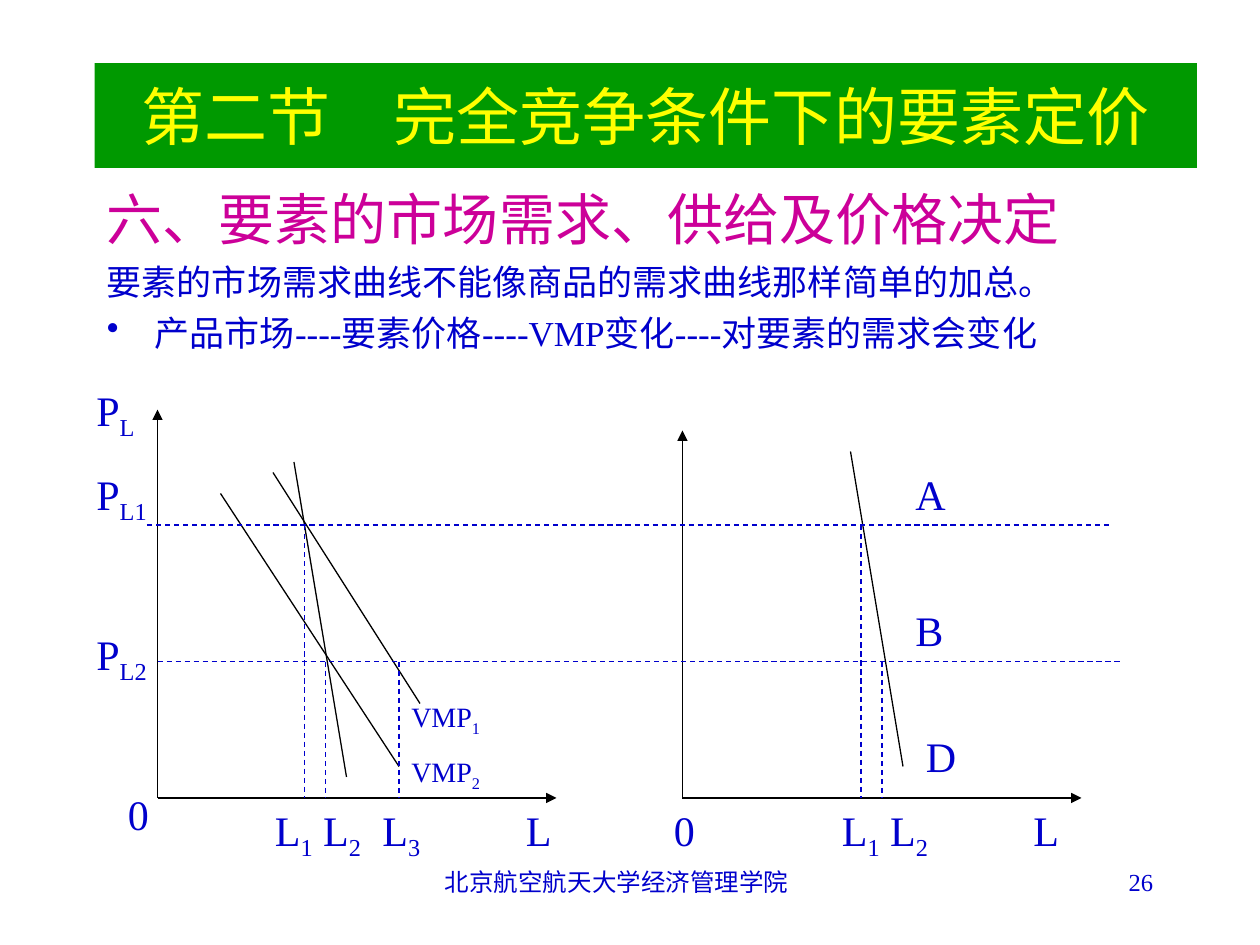
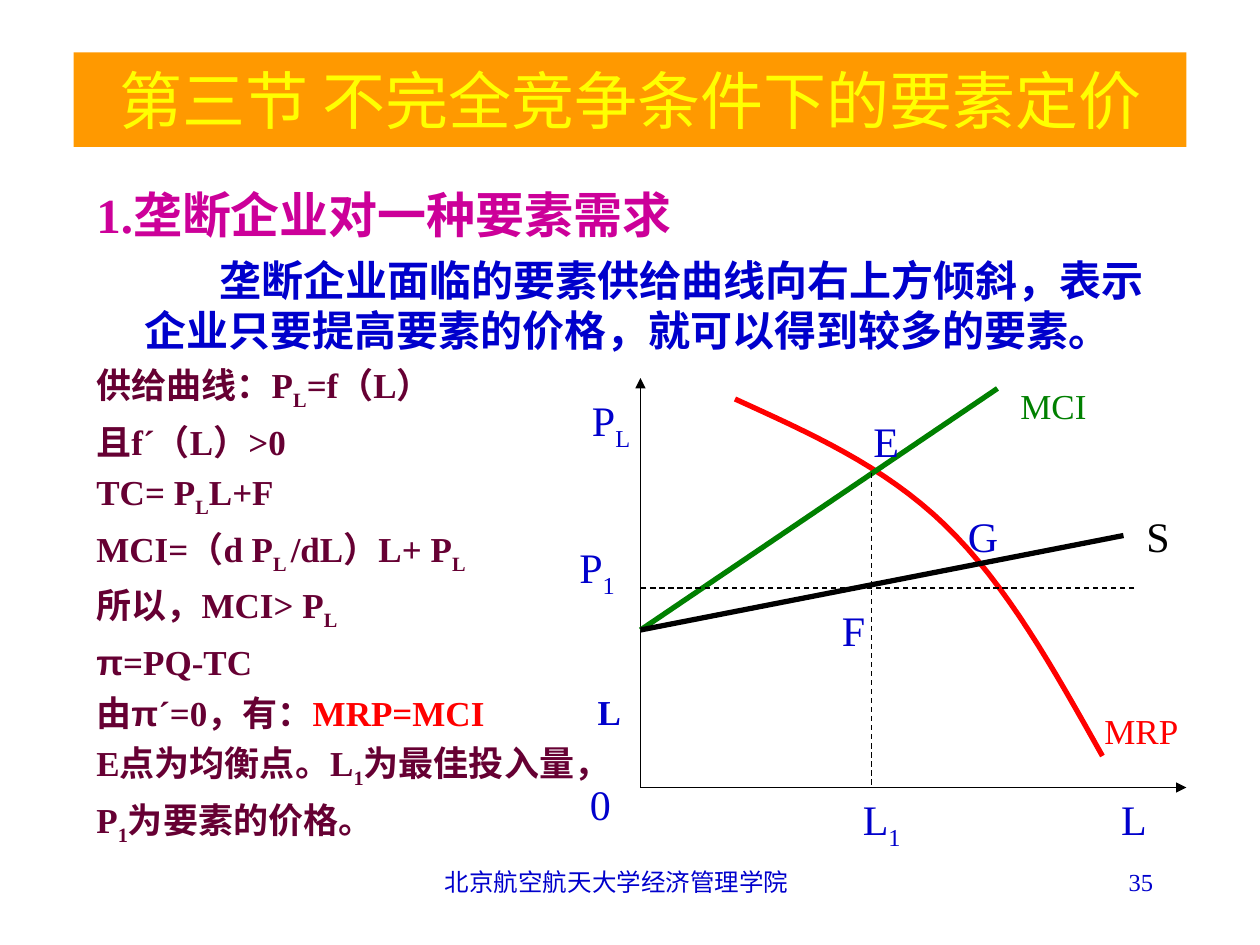
import pptx
import pptx.util
import pptx.dml.color
import pptx.enum.dml
import pptx.enum.shapes
import pptx.enum.text
import pptx.oxml
import pptx.oxml.ns
from lxml import etree

# Shared grid: 120 columns by 90 rows of square cells
presentation = pptx.Presentation()
presentation.slide_width = pptx.util.Inches(10)
presentation.slide_height = pptx.util.Inches(7.5)
CELL = presentation.slide_width / 120

# Shared look
BLUE, PINK, PLUM, YELLOW = "0000CC", "CC0099", "660033", "FFFF00"
BLACK, RED, GREEN = "000000", "FF0000", "008000"
ALIGN = pptx.enum.text.PP_ALIGN
ANCHOR = pptx.enum.text.MSO_ANCHOR
FOOTER = "北京航空航天大学经济管理学院"
HANGING = (0.38, -0.38)
LINE_STYLES = {  # colour, width, dashed, arrow
    "axis": (BLACK, 0.75, False, True),
    "thin": (BLACK, 0.75, False, False),
    "blue guide": (BLUE, 0.75, True, False),
    "black guide": (BLACK, 0.75, True, False),
    "cost": (GREEN, 3, False, False),
    "supply": (BLACK, 3, False, False),
}


def colour(hex_value):
    return pptx.dml.color.RGBColor.from_string(hex_value)


def write(paragraph, text, size, hex_value, bold=False, font="Times New Roman"):
    """Add text to a paragraph; parts between ~ signs are subscripts."""
    for index, part in enumerate(text.split("~")):
        if not part:
            continue
        run = paragraph.add_run()
        run.text = part
        values = {"size": pptx.util.Pt(size), "bold": bold, "name": font}
        for attribute, value in values.items():
            setattr(run.font, attribute, value)
        run.font.color.rgb = colour(hex_value)
        if index % 2:
            run._r.get_or_add_rPr().set("baseline", "-25000")


# Body paragraphs: pieces, size, colour, bold, space before, indent, bullet
factor_market_body = [
    (["六、要素的市场需求、供给及价格决定"], 32, PINK, False, 0, HANGING, False),
    (["要素的市场需求曲线不能像商品的需求曲线那样简单的加总。"],
     20, BLUE, False, 5, HANGING, False),
    (["产品市场----要素价格----VMP变化----对要素的需求会变化"],
     20, BLUE, False, 5, HANGING, True),
]
monopoly_body = [
    (["1.垄断企业对一种要素需求"], 28, PINK, True, 0, HANGING, False),
    (["垄断企业面临的要素供给曲线向右上方倾斜，表示企业只要提高要素的价格，"
      "就可以得到较多的要素。"], 24, BLUE, True, 6, (0.38, 0.6), False),
]
for pieces in (["供给曲线：P~L~=f（L）"], ["且f´（L）>0"], ["TC= P~L~L+F"],
               ["MCI=（d P~L ~/dL）L+ P~L~"], ["所以，MCI> P~L~"],
               ["π", "=PQ-TC"], ["由", "π", "´=0，有：", "MRP=MCI"],
               ["E点为均衡点。L~1~为最佳投入量，"], ["P~1~为要素的价格。"]):
    monopoly_body.append((pieces, 20, PLUM, True, 5, HANGING, False))
PIECE_CHANGES = {"π": {"font": "Arial"}, "MRP=MCI": {"hex_value": RED}}

pages = [
    {
        "title": "第二节　完全竞争条件下的要素定价",
        "band": (9, 6, 105, 10), "band colour": "009900", "number": "26",
        "body": factor_market_body, "body box": (9, 17, 102, 63),
        "curves": [],
        "lines": {
            "axis": [(15, 76, 53, 76), (15, 76, 15, 39),
                     (65, 76, 103, 76), (65, 76, 65, 41)],
            "thin": [(21, 47, 38, 73), (26, 45, 40, 67),
                     (28, 44, 33, 74), (81, 43, 86, 73)],
            "blue guide": [(14, 50, 106, 50), (15, 63, 107, 63),
                           (29, 50, 29, 76), (31, 63, 31, 76), (38, 63, 38, 76),
                           (82, 50, 82, 76), (84, 63, 84, 76)],
        },
        # Labels: text, column, row, size, colour, bold
        "labels": [
            ("P~L~", 8, 36, 24, BLUE, False),
            ("P~L1~", 8, 44, 24, BLUE, False),
            ("P~L2~", 8, 59.25, 24, BLUE, False),
            ("0", 11, 74.5, 24, BLUE, False),
            ("L~1~", 25, 76, 24, BLUE, False),
            ("L~2~", 29.6, 76, 24, BLUE, False),
            ("L~3~", 35.25, 76, 24, BLUE, False),
            ("L", 48.9, 76, 24, BLUE, False),
            ("0", 63, 76, 24, BLUE, False),
            ("L~1~", 79, 76, 24, BLUE, False),
            ("L~2~", 83.6, 76, 24, BLUE, False),
            ("L", 97.25, 76, 24, BLUE, False),
            ("A", 86, 44, 24, BLUE, False),
            ("B", 86, 57, 24, BLUE, False),
            ("D", 87, 69, 24, BLUE, False),
            ("VMP~1~", 38, 66, 16, BLUE, False),
            ("VMP~2~", 38, 71.3, 16, BLUE, False),
        ],
    },
    {
        "title": "第三节 不完全竞争条件下的要素定价",
        "band": (7, 5, 106, 9), "band colour": "FF9900", "number": "35",
        "body": monopoly_body, "body box": (8, 17, 104, 67),
        # Revenue product curve as two joined cubic arcs
        "curves": [[((70, 38), (77, 41.2), (84.1, 44.3), (90, 50)),
                    ((90, 50), (95.9, 55.7), (100.4, 63.8), (105, 72))]],
        "lines": {
            "axis": [(61, 75, 113, 75), (61, 75, 61, 36)],
            "cost": [(95, 37, 61, 60)],
            "supply": [(107, 51, 61, 60)],
            "black guide": [(83, 45, 83, 75), (108, 56, 61, 56)],
        },
        "labels": [
            ("P~L~", 55.2, 37, 24, BLUE, False),
            ("P~1~", 54, 51, 24, BLUE, False),
            ("0", 55, 73.6, 24, BLUE, False),
            ("L~1~", 81, 75, 24, BLUE, False),
            ("L", 105.6, 75, 24, BLUE, False),
            ("L", 55.75, 65.2, 20, BLUE, True),
            ("MCI", 96, 36, 20, GREEN, False),
            ("S", 108, 48, 24, BLACK, False),
            ("MRP", 104, 67, 20, RED, False),
            ("E", 82, 39, 24, BLUE, False),
            ("G", 91, 48, 24, BLUE, False),
            ("F", 79, 57, 24, BLUE, False),
        ],
    },
]

for page in pages:
    slide = presentation.slides.add_slide(presentation.slide_layouts[6])
    shapes = slide.shapes

    # Body text
    body = shapes.add_textbox(*[round(n * CELL) for n in page["body box"]]).text_frame
    body.word_wrap = True
    for index, row in enumerate(page["body"]):
        pieces, size, hex_value, bold, space, indent, bullet = row
        paragraph = body.add_paragraph() if index else body.paragraphs[0]
        paragraph.space_before = pptx.util.Pt(space)
        properties = paragraph._p.get_or_add_pPr()
        for name, length in zip(("marL", "indent"), indent):
            properties.set(name, str(pptx.util.Inches(length)))
        if bullet:
            bullet_colour = etree.SubElement(properties, pptx.oxml.ns.qn("a:buClr"))
            etree.SubElement(bullet_colour, pptx.oxml.ns.qn("a:srgbClr"), val=hex_value)
            etree.SubElement(properties, pptx.oxml.ns.qn("a:buChar"), char="•")
        for piece in pieces:
            look = {"size": size, "hex_value": hex_value, "bold": bold}
            write(paragraph, piece, **{**look, **PIECE_CHANGES.get(piece, {})})

    # Curves
    for arcs in page["curves"]:
        points = []
        for a, b, c, d in arcs:
            for step in range(1, 17):
                t = step / 16
                points.append([
                    round(CELL * ((1 - t) ** 3 * a[axis] + 3 * t * (1 - t) ** 2 * b[axis]
                                  + 3 * t * t * (1 - t) * c[axis] + t ** 3 * d[axis]))
                    for axis in (0, 1)])
        start_x, start_y = arcs[0][0]
        builder = shapes.build_freeform(round(start_x * CELL), round(start_y * CELL))
        builder.add_line_segments(points, close=False)
        curve = builder.convert_to_shape()
        curve.shadow.inherit = False
        curve.fill.background()
        curve.line.color.rgb = colour(RED)
        curve.line.width = pptx.util.Pt(3)

    # Axes, straight curves and guides
    for style, segments in page["lines"].items():
        hex_value, width, dashed, arrow = LINE_STYLES[style]
        for segment in segments:
            line = shapes.add_connector(pptx.enum.shapes.MSO_CONNECTOR.STRAIGHT,
                                        *[round(n * CELL) for n in segment])
            line.line.color.rgb = colour(hex_value)
            line.line.width = pptx.util.Pt(width)
            if dashed:
                line.line.dash_style = pptx.enum.dml.MSO_LINE.DASH
            if arrow:
                etree.SubElement(line.line._get_or_add_ln(),
                                 pptx.oxml.ns.qn("a:tailEnd"), type="triangle")
            etree.SubElement(line._element.spPr, pptx.oxml.ns.qn("a:effectLst"))

    # Title band
    band = shapes.add_shape(pptx.enum.shapes.MSO_SHAPE.RECTANGLE,
                            *[round(n * CELL) for n in page["band"]])
    band.shadow.inherit = False
    band.fill.solid()
    band.fill.fore_color.rgb = colour(page["band colour"])
    band.line.fill.background()
    band.text_frame.word_wrap = True
    band.text_frame.vertical_anchor = ANCHOR.MIDDLE
    band.text_frame.paragraphs[0].alignment = ALIGN.CENTER
    write(band.text_frame.paragraphs[0], page["title"], 36, YELLOW)

    # Diagram labels, footer and page number
    texts = [((column, row, 12, 6), ALIGN.LEFT, (text, size, hex_value, bold))
             for text, column, row, size, hex_value, bold in page["labels"]]
    texts.append(((41, 82, 35.5, 6), ALIGN.CENTER, (FOOTER, 14, BLUE)))
    texts.append(((86, 82, 25, 6), ALIGN.RIGHT, (page["number"], 14, BLUE)))
    for box, alignment, content in texts:
        frame = shapes.add_textbox(*[round(n * CELL) for n in box]).text_frame
        frame.word_wrap = True
        frame.paragraphs[0].alignment = alignment
        write(frame.paragraphs[0], *content)

presentation.save("out.pptx")
